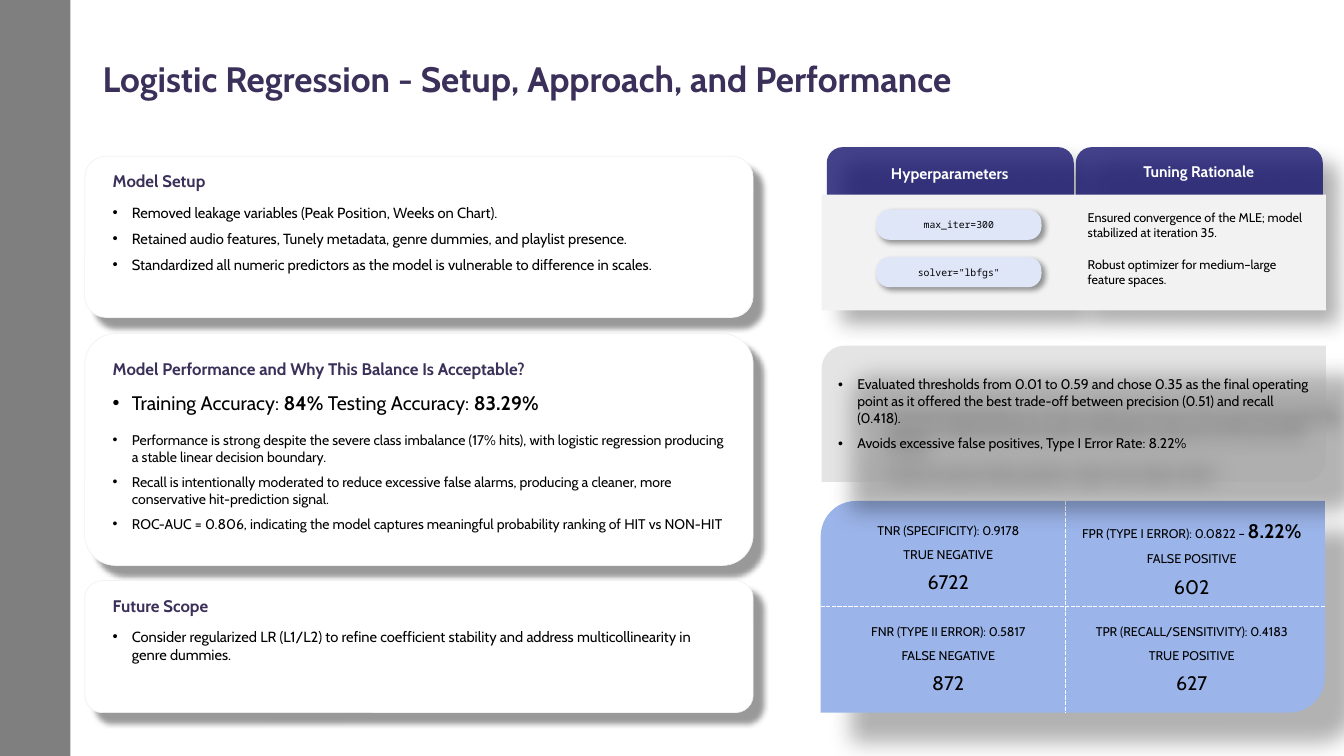
from lxml import etree
from pptx import Presentation
from pptx.dml.color import RGBColor
from pptx.enum.dml import MSO_LINE
from pptx.enum.shapes import MSO_CONNECTOR, MSO_SHAPE
from pptx.enum.text import MSO_ANCHOR, PP_ALIGN
from pptx.oxml.ns import qn
from pptx.util import Inches, Pt

FONT, MONO = "Cabin", "Noto Sans Mono"
INK, WHITE, BLACK = "3B3059", "FFFFFF", "000000"
# Shadows: opacity %, blur pt, distance pt
CARD_SHADOW = (40, 4, 10)
TAB_SHADOW = (40, 15, 15)
PILL_SHADOW = (40, 4, 3)
PANEL_SHADOW = (30, 16, 30)


def color(value):
    return RGBColor.from_string(value)


def add_child(parent, tag, **attrs):
    return etree.SubElement(parent, qn(tag), {k: str(v) for k, v in attrs.items()})


def add_shape(s, kind, box, fill, alpha=100, shadow=None, line=None, adj=()):
    sp = s.shapes.add_shape(kind, *map(Inches, box))
    sp.shadow.inherit = False
    sp.fill.solid()
    sp.fill.fore_color.rgb = color(fill)
    if alpha < 100:
        clr = sp.fill._xPr.find(qn("a:solidFill"))[0]
        add_child(clr, "a:alpha", val=alpha * 1000)
    if line:
        sp.line.color.rgb = color(line)
        sp.line.width = Pt(0.5)
    else:
        sp.line.fill.background()
    for i, value in enumerate(adj):
        sp.adjustments[i] = value
    if shadow:
        opacity, blur, dist = shadow
        effects = sp._element.spPr.find(qn("a:effectLst"))
        outer = add_child(effects, "a:outerShdw", blurRad=Pt(blur), dist=Pt(dist),
                          dir=45 * 60000, algn="tl", rotWithShape=0)
        clr = add_child(outer, "a:srgbClr", val=BLACK)
        add_child(clr, "a:alpha", val=opacity * 1000)
    return sp


def write(sp, paragraphs, anchor=MSO_ANCHOR.MIDDLE, align=PP_ALIGN.LEFT, after=0,
          bullet=False, spacing=None, **font):
    """Each paragraph is a list of (text, font overrides) runs."""
    tf = sp.text_frame
    tf.word_wrap = True
    tf.vertical_anchor = anchor
    for i, runs in enumerate(paragraphs):
        p = tf.paragraphs[0] if i == 0 else tf.add_paragraph()
        if bullet:
            pPr = p._p.get_or_add_pPr()
            pPr.set("marL", str(Inches(0.19)))
            pPr.set("indent", str(Inches(-0.19)))
            add_child(pPr, "a:buFont", typeface="Arial")
            add_child(pPr, "a:buChar", char="•")
        space = Pt(12 if bullet and len(runs) > 1 else after)
        for name, value in dict(alignment=align, space_after=space,
                                line_spacing=spacing).items():
            setattr(p, name, value)
        for text, extra in runs:
            r = p.add_run()
            r.text = text
            fmt = {"name": FONT, "bold": False, "color": BLACK, **font, **extra}
            r.font.color.rgb = color(fmt.pop("color"))
            for name, value in fmt.items():
                setattr(r.font, name, value)


def add_text(s, box, paragraphs, **fmt):
    sp = s.shapes.add_textbox(*map(Inches, box))
    write(sp, paragraphs, **fmt)
    return sp


def plain(*texts):
    return [[(text, {})] for text in texts]


def add_card(s, top, height, title, title_top, body_height, bullets, size):
    add_shape(s, MSO_SHAPE.ROUNDED_RECTANGLE, (0.84, top, 6.63, height), WHITE,
              shadow=CARD_SHADOW, line="F2F2F2", adj=[0.133])
    add_text(s, (1.02, title_top, 6.27, 0.35), plain(title),
             size=Pt(12), color=INK, bold=True)
    add_text(s, (1.02, title_top + 0.35, 6.27, body_height), bullets,
             anchor=MSO_ANCHOR.TOP, after=6, bullet=True, size=Pt(size))


def add_divider(s, *ends):
    line = s.shapes.add_connector(MSO_CONNECTOR.STRAIGHT, *map(Inches, ends))
    line.line.color.rgb = color(WHITE)
    line.line.width = Pt(1)
    line.line.dash_style = MSO_LINE.SQUARE_DOT
    add_child(line._element.spPr, "a:effectLst")


def add_hyperparameters(s):
    tabs = [(8.2, 1.57, "Hyperparameters"), (10.67, 1.55, "Tuning Rationale")]
    for left, _, _ in tabs:
        add_shape(s, MSO_SHAPE.ROUND_2_SAME_RECTANGLE, (left, 1.46, 2.45, 1.6),
                  "15136E", alpha=80, shadow=TAB_SHADOW, adj=[0.098, 0])
    for left, top, label in tabs:
        add_text(s, (left, top, 2.44, 0.29), plain(label), align=PP_ALIGN.CENTER,
                 size=Pt(11), color=WHITE, bold=True)
    add_shape(s, MSO_SHAPE.RECTANGLE, (8.15, 1.93, 5, 1.15), "F2F2F2")
    rows = [
        ("max_iter=300",
         "Ensured convergence of the MLE; model stabilized at iteration 35."),
        ('solver="lbfgs"', "Robust optimizer for medium–large feature spaces."),
    ]
    for i, (setting, reason) in enumerate(rows):
        top = 2.05 + 0.47 * i
        add_text(s, (10.69, top, 2.43, 0.36), plain(reason), size=Pt(9))
        pill = add_shape(s, MSO_SHAPE.ROUNDED_RECTANGLE, (8.69, top + 0.03, 1.64, 0.3),
                         "DEE6F8", shadow=PILL_SHADOW, adj=[0.444])
        write(pill, plain(setting), align=PP_ALIGN.CENTER, name=MONO, size=Pt(7))


def add_confusion_matrix(s):
    left, top, mid_x, mid_y = 8.14, 4.97, 10.57, 6.02
    right, bottom = left + 5, top + 2.1
    add_shape(s, MSO_SHAPE.ROUND_2_DIAG_RECTANGLE, (left, top, 5, 2.1), "9BB4E9",
              shadow=PANEL_SHADOW)
    add_divider(s, mid_x, top, mid_x, bottom)
    add_divider(s, left, mid_y, right, mid_y)
    large = {"size": Pt(14)}
    cells = [
        [("TNR (SPECIFICITY): 0.9178", "", "TRUE NEGATIVE", "6722"),
         ("FPR (TYPE I ERROR): 0.0822 – ", "8.22%", "FALSE POSITIVE", "602")],
        [("FNR (TYPE II ERROR): 0.5817", "", "FALSE NEGATIVE", "872"),
         ("TPR (RECALL/SENSITIVITY): 0.4183", "", "TRUE POSITIVE", "627")],
    ]
    columns = [(8.24, 2.33), (mid_x, 2.5)]
    for cell_top, row in zip((5.02, mid_y), cells):
        for (x, width), (rate, highlight, outcome, count) in zip(columns, row):
            first = [(rate, {})]
            if highlight:
                first.append((highlight, {**large, "bold": True}))
            sp = add_text(s, (x, cell_top, width, 0.99),
                          [first, [(outcome, {})], [(count, large)]],
                          align=PP_ALIGN.CENTER, after=6, size=Pt(9))
            sp.text_frame.margin_top = Inches(0.1)


def main():
    prs = Presentation()
    prs.slide_width, prs.slide_height = Inches(13.33), Inches(7.5)
    s = prs.slides.add_slide(prs.slide_layouts[6])

    # Sidebar and title
    add_shape(s, MSO_SHAPE.RECTANGLE, (0, 0, 0.7, 7.5), BLACK, alpha=50)
    add_text(s, (0.92, 0.39, 9.08, 0.83),
             plain("Logistic Regression - Setup, Approach, and Performance"),
             spacing=0.9, size=Pt(25.2), color=INK, bold=True)

    # Right column: settings and confusion matrix
    add_hyperparameters(s)
    add_confusion_matrix(s)

    # Left column: cards
    add_card(s, 1.55, 1.6, "Model Setup", 1.62, 1.01, plain(
        "Removed leakage variables (Peak Position, Weeks on Chart).",
        "Retained audio features, Tunely metadata, genre dummies, and playlist presence.",
        "Standardized all numeric predictors as the model is vulnerable to difference "
        "in scales."), 10.5)
    big, strong = {"size": Pt(14)}, {"size": Pt(14), "bold": True}
    accuracy = [("Training Accuracy: ", big), ("84%", strong),
                (" Testing Accuracy: ", big), ("83.29%", strong)]
    add_card(s, 3.31, 2.3, "Model Performance and Why This Balance Is Acceptable?",
             3.48, 1.52, [accuracy] + plain(
                 "Performance is strong despite the severe class imbalance (17% hits), with "
                 "logistic regression producing a stable linear decision boundary.",
                 "Recall is intentionally moderated to reduce excessive false alarms, "
                 "producing a cleaner, more conservative hit-prediction signal.",
                 "ROC-AUC = 0.806, indicating the model captures meaningful probability "
                 "ranking of HIT vs NON-HIT"), 10)
    add_card(s, 5.76, 1.31, "Future Scope", 5.83, 0.81, plain(
        "Consider regularized LR (L1/L2) to refine coefficient stability and address "
        "multicollinearity in genre dummies."), 10.5)

    # Threshold panel
    panel = add_shape(s, MSO_SHAPE.ROUND_2_DIAG_RECTANGLE, (8.15, 3.43, 5, 1.35),
                      "A6A6A6", alpha=30, shadow=PANEL_SHADOW)
    write(panel, plain(
        "Evaluated thresholds from 0.01 to 0.59 and chose 0.35 as the final operating "
        "point as it offered the best trade-off between precision (0.51) and recall "
        "(0.418).",
        "Avoids excessive false positives, Type I Error Rate: 8.22%"),
        after=6, bullet=True, size=Pt(10))

    prs.save("out.pptx")


if __name__ == "__main__":
    main()
